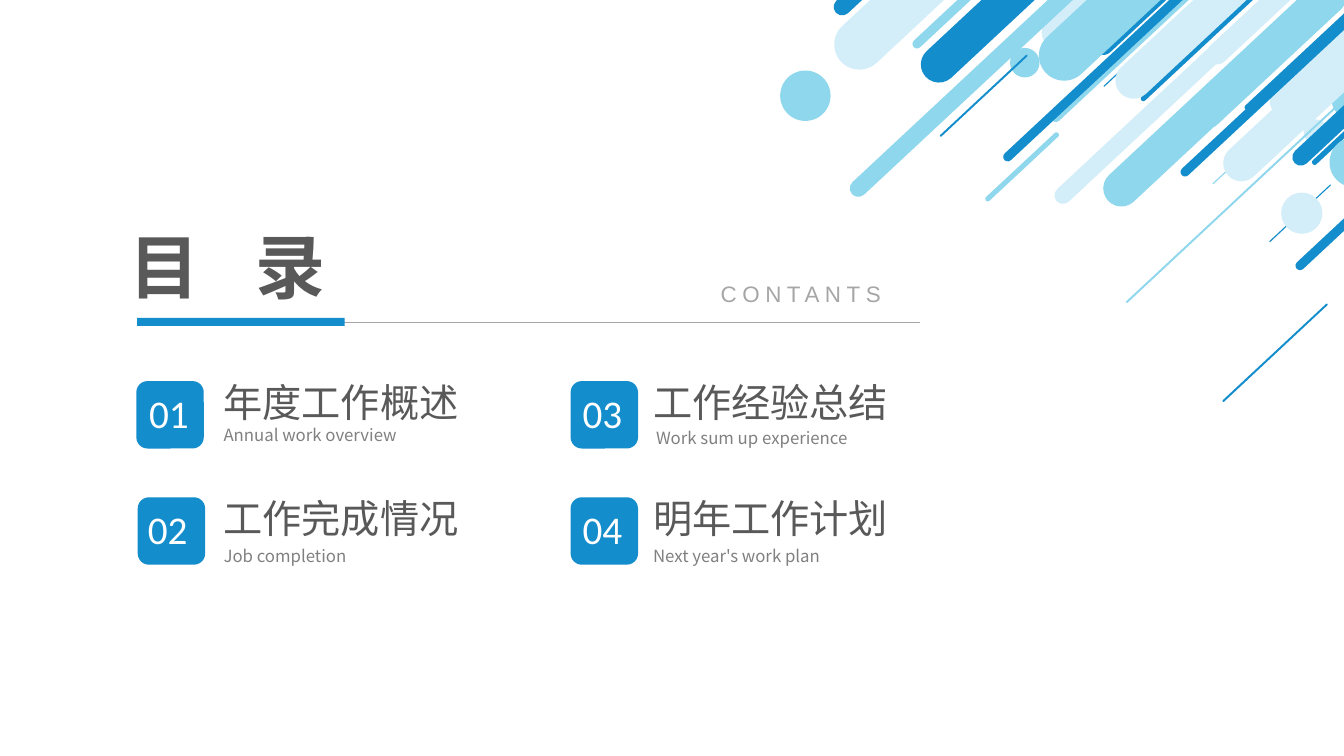
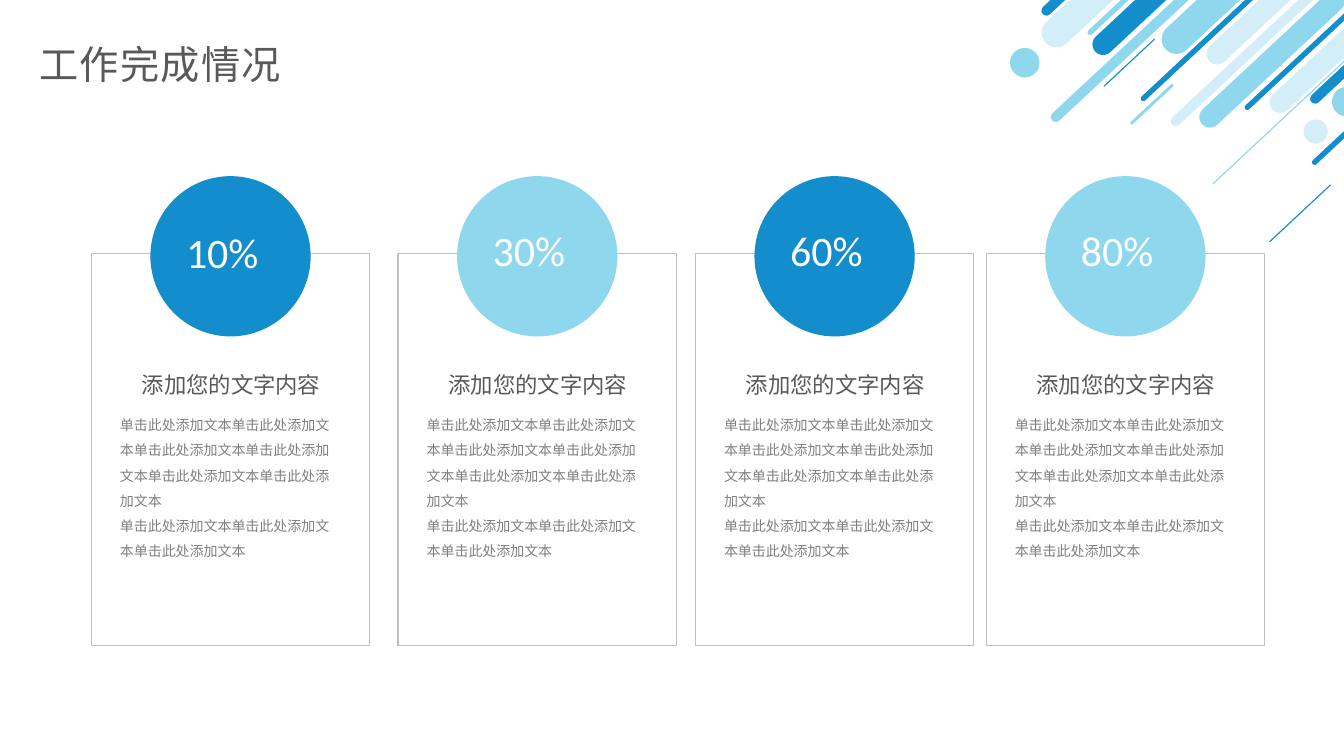
from dataclasses import dataclass

from lxml.etree import SubElement as Sub
from pptx import Presentation
from pptx.dml.color import RGBColor as Rgb
from pptx.enum.shapes import MSO_CONNECTOR as Conn, MSO_SHAPE as Kind
from pptx.enum.text import MSO_ANCHOR as Anchor, PP_ALIGN as Align
from pptx.oxml.ns import qn
from pptx.util import Pt


@dataclass(frozen=True)
class Theme:
    blue: str = "138DCC"
    sky: str = "8FD7ED"
    pale: str = "D3EEF9"
    dark: str = "595959"
    gray: str = "808080"
    mist: str = "A6A6A6"
    edge: str = "BFBFBF"
    white: str = "FFFFFF"
    han: str = "Noto Sans CJK SC"
    num: str = "Calibri"
    sans: str = "Arial"
    title: int = 50
    rate: int = 30
    head: int = 28
    label: int = 16
    small: int = 12
    body: int = 10


T = Theme()

TILT = -43
# left, top, width, height, colour; equal sides make a dot
RAIN = [
    (569.5, -53.3, 232.6, 36, T.pale),
    (621.4, -49, 232.6, 6.5, T.sky),
    (630, -37.4, 232.6, 25.9, T.blue),
    (577.4, 53.3, 232.6, 12.2, T.sky),
    (715.7, -45.4, 232.6, 36, T.sky),
    (686.2, 31.7, 232.6, 6.5, T.blue),
    (769, -25.9, 232.6, 25.9, T.pale),
    (723.6, 58.3, 232.6, 12.2, T.pale),
    (760.3, 51.1, 232.6, 25.9, T.sky),
    (812.9, 42.5, 232.6, 6.5, T.blue),
    (846, 33.1, 232.6, 25.9, T.pale),
    (893.5, 31, 232.6, 12.2, T.blue),
    (915.1, 137.5, 29.5, 29.5, T.pale),
    (949.7, 97.9, 36, 36, T.sky),
    (557.3, 50.4, 36, 36, T.sky),
    (565.9, -76.3, 232.6, 12.2, T.blue),
    (895, 109.4, 232.6, 6.5, T.blue),
    (773.3, 136.1, 232.6, 1.4, T.sky),
    (859.7, 251.3, 102.2, 1.4, T.blue),
    (694.8, 117.4, 70.6, 3.6, T.sky),
    (660.2, 67.7, 85, 1.4, T.blue),
]

# tile left and top, number left, text left, subtitle left and top
TOPICS = [
    ("01", "年度工作概述", "Annual work overview", 97.4, 272.2, 99.4, 152.6, 152.6, 299.5),
    ("02", "工作完成情况", "Job completion", 98.4, 355.2, 98.6, 152.6, 152.6, 386.6),
    ("03", "工作经验总结", "Work sum up experience", 407.6, 272.2, 409, 459.4, 461.5, 301.7),
    ("04", "明年工作计划", "Next year's work plan", 407.6, 355.2, 409, 459.4, 459.4, 386.6),
]

PHRASE = "单击此处添加文本"
# rate, card left, rate top, colour
CARDS = [
    ("10%", 65.3, 158.4, T.blue),
    ("30%", 284.4, 157, T.sky),
    ("60%", 496.8, 157, T.blue),
    ("80%", 704.5, 157, T.sky),
]


def shape(home, kind, x, y, w, h, fill=None, line=None):
    item = home.shapes.add_shape(kind, Pt(x), Pt(y), Pt(w), Pt(h))
    item.shadow.inherit = False
    if fill:
        item.fill.solid()
        item.fill.fore_color.rgb = Rgb.from_string(fill)
    else:
        item.fill.background()
    if line:
        item.line.color.rgb = Rgb.from_string(line)
        item.line.width = Pt(1)
    else:
        item.line.fill.background()
    return item


def rule(slide, x, y, end, color, width):
    line = slide.shapes.add_connector(Conn.STRAIGHT, Pt(x), Pt(y), Pt(end), Pt(y))
    line.line.color.rgb = Rgb.from_string(color)
    line.line.width = Pt(width)
    Sub(line.element.spPr, qn("a:effectLst"))


def text(slide, x, y, w, h, words, size, color, face=T.han, bold=False,
         track=0, align=Align.LEFT, lead=None, wrap=True, anchor=Anchor.TOP, tab=None):
    """Add a text box with one paragraph for each item of words."""
    frame = slide.shapes.add_textbox(Pt(x), Pt(y), Pt(w), Pt(h)).text_frame
    frame.word_wrap = wrap
    frame.vertical_anchor = anchor
    for i, line in enumerate(words):
        para = frame.paragraphs[0] if i == 0 else frame.add_paragraph()
        para.alignment = align
        if lead:
            para.line_spacing = lead
        if tab:
            stops = Sub(para._p.get_or_add_pPr(), qn("a:tabLst"))
            Sub(stops, qn("a:tab"), pos=str(Pt(tab)), algn="l")
        run = para.add_run()
        run.text = line
        font = run.font
        font.size, font.bold, font.name = Pt(size), bold, face
        font.color.rgb = Rgb.from_string(color)
        props = run._r.get_or_add_rPr()
        Sub(props, qn("a:ea"), typeface=face)
        if track:
            props.set("spc", str(int(track * 100)))


def rain(slide, scale=1, dx=0, dy=0):
    """Draw the slanted bars and dots of the top right corner as one group."""
    group = slide.shapes.add_group_shape()
    for x, y, w, h, color in RAIN:
        kind = Kind.OVAL if w == h else Kind.ROUNDED_RECTANGLE
        item = shape(group, kind, x * scale + dx, y * scale + dy,
                     w * scale, h * scale, color)
        if w != h:
            item.adjustments[0] = 0.5
            item.rotation = TILT
    return group


def topic(slide, num, name, sub, x, y, num_x, text_x, sub_x, sub_y):
    shape(slide, Kind.ROUNDED_RECTANGLE, x, y, 48.2, 48.2, T.blue)
    text(slide, num_x, y + 2.1, 51, 41, [num], T.head, T.white, T.num)
    text(slide, text_x, y - 5.8, 235, 41, [name], T.head, T.dark)
    text(slide, sub_x, sub_y, 243, 21.6, [sub], T.small, T.gray)


def card(slide, rate, x, rate_y, color):
    shape(slide, Kind.RECTANGLE, x, 180.9, 198.8, 280.2, line=T.edge)
    shape(slide, Kind.OVAL, x + 42.1, 125.8, 114.5, 114.5, color)
    text(slide, x + 13.3, 288, 172, 117.4, [PHRASE * 6, PHRASE * 3],
         T.body, T.gray, lead=1.5)
    text(slide, x + 28.1, 261.4, 142.6, 26.6, ["添加您的文字内容"],
         T.label, T.dark, align=Align.RIGHT, wrap=False)
    text(slide, x + 60.5, rate_y, 80, 43.2, [rate], T.rate, T.white, T.num)


def agenda(slide):
    rain(slide)
    for item in TOPICS:
        topic(slide, *item)
    rule(slide, 98, 230.4, 657.4, T.mist, 0.5)
    shape(slide, Kind.RECTANGLE, 98, 227, 148.3, 5.8, T.blue)
    text(slide, 482.4, 196.6, 179.3, 26.6, ["CONTANTS"], T.label, T.mist,
         T.sans, track=4, align=Align.CENTER)
    text(slide, 85.7, 151.9, 692, 71.3, ["目\t录"], T.title, T.dark, bold=True,
         track=1.5, anchor=Anchor.BOTTOM, tab=89.6)


def status(slide):
    for item in CARDS:
        card(slide, *item)
    text(slide, 20.9, 25.2, 939, 41, ["工作完成情况"], T.head, T.dark, track=1)


def main():
    deck = Presentation()
    deck.slide_width, deck.slide_height = Pt(960), Pt(540)
    blank = deck.slide_layouts[6]
    first, second = (deck.slides.add_slide(blank) for _ in range(2))
    # The small corner belongs to the layout, so both slides show it.
    corner = rain(first, 0.586, 394.9, 4.7)
    blank.shapes.element.append(corner.element)
    agenda(first)
    status(second)
    deck.save("out.pptx")


if __name__ == "__main__":
    main()
